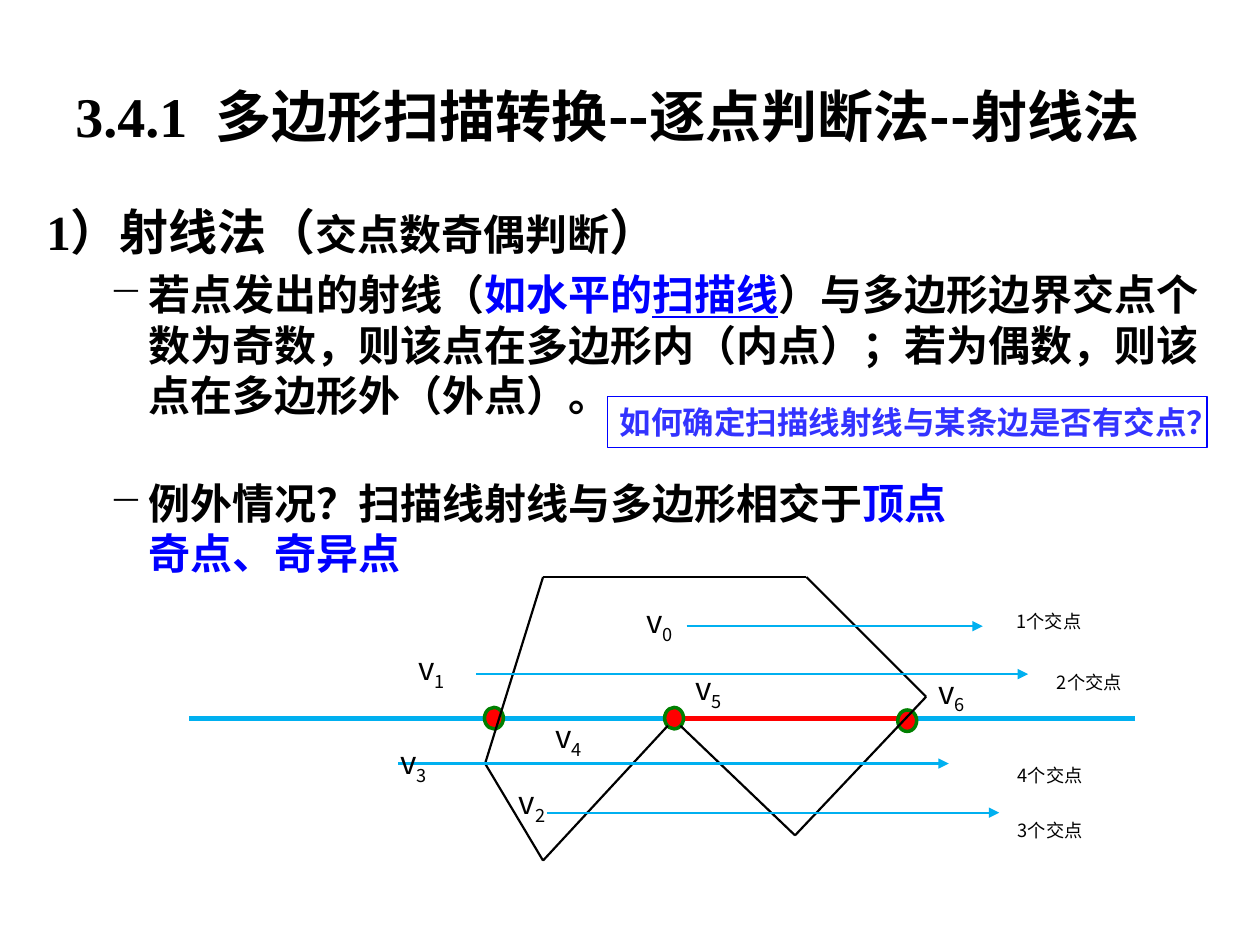
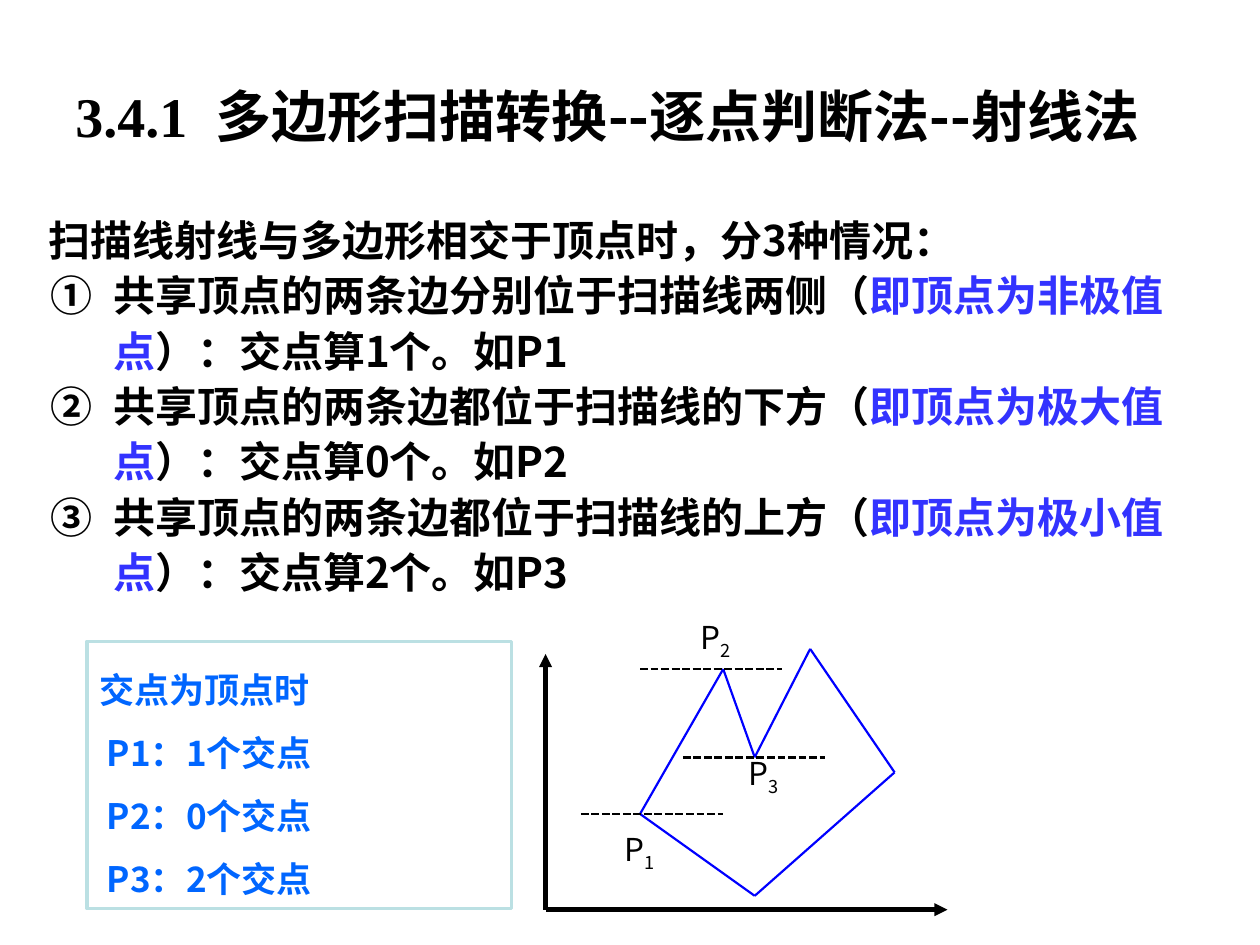
from dataclasses import dataclass
from itertools import pairwise

from lxml.etree import SubElement
from pptx import Presentation
from pptx.dml.color import RGBColor
from pptx.enum.dml import MSO_LINE
from pptx.enum.shapes import MSO_CONNECTOR, MSO_SHAPE
from pptx.enum.text import MSO_ANCHOR
from pptx.oxml.ns import qn
from pptx.util import Inches, Pt


@dataclass(frozen=True)
class Theme:
    black: str = "000000"
    white: str = "FFFFFF"
    blue: str = "0000FF"
    violet: str = "3333FF"
    azure: str = "0066FF"
    sky: str = "00B0F0"
    red: str = "FF0000"
    green: str = "008000"
    pale: str = "BBE0E3"
    sans: str = "Noto Sans CJK SC"
    serif: str = "Times New Roman"
    arial: str = "Arial"
    title: int = 32
    heading: int = 28
    body: int = 24
    box: int = 20
    label: int = 18
    thin: float = 1.25


T = Theme()


def rgb(color):
    return RGBColor.from_string(color)


def add_run(p, text, size, font, color, bold=False, underline=False, base=None):
    r = p.add_run()
    r.text = text
    f = r.font
    f.size, f.name, f.bold, f.underline = Pt(size), font, bold, underline
    f.color.rgb = rgb(color)
    rPr = r._r.get_or_add_rPr()
    SubElement(rPr, qn("a:ea")).set("typeface", T.sans)
    if base:
        rPr.set("baseline", str(base * 1000))


def add_para(p, runs, leading=1.2, before=0, left=0, hanging=0, bullet=None, number=None, **fmt):
    """Fill p with runs, each a string or a (string, format changes) pair."""
    p.line_spacing = Pt(round(fmt["size"] * leading, 1))
    p.space_before = Pt(before)
    pPr = p._p.get_or_add_pPr()
    pPr.set("marL", str(Inches(left)))
    pPr.set("indent", str(Inches(-hanging)))
    if bullet:
        SubElement(pPr, qn("a:buChar")).set("char", bullet)
    if number:
        SubElement(pPr, qn("a:buAutoNum")).set("type", number)
    for run in runs:
        text, changes = (run, {}) if isinstance(run, str) else run
        add_run(p, text, **{**fmt, **changes})


def add_text(s, at, paras, fill=None, line=None, line_width=1, anchor=MSO_ANCHOR.TOP, **fmt):
    """Add a text box, or a rectangle if it has a line; paras are (runs, format changes) pairs."""
    box = [Inches(v) for v in at]
    if line:
        sp = s.shapes.add_shape(MSO_SHAPE.RECTANGLE, *box)
        paint(sp, fill, line, line_width)
    else:
        sp = s.shapes.add_textbox(*box)
    tf = sp.text_frame
    tf.word_wrap = True
    tf.vertical_anchor = anchor
    for i, (runs, changes) in enumerate(paras):
        p = tf.add_paragraph() if i else tf.paragraphs[0]
        add_para(p, runs, **{"font": T.sans, "color": T.black, **fmt, **changes})
        p.alignment = 1


def paint(sp, fill, line, width):
    sp.shadow.inherit = False
    if fill:
        sp.fill.solid()
        sp.fill.fore_color.rgb = rgb(fill)
    else:
        sp.fill.background()
    sp.line.color.rgb = rgb(line)
    sp.line.width = Pt(width)


def add_line(s, start, end, color, width=T.thin, arrow=False, dash=None):
    c = s.shapes.add_connector(MSO_CONNECTOR.STRAIGHT, *(Inches(v) for v in (*start, *end)))
    c.line.color.rgb = rgb(color)
    c.line.width = Pt(width)
    if dash:
        c.line.dash_style = dash
    if arrow:
        SubElement(c.line._get_or_add_ln(), qn("a:tailEnd")).set("type", "triangle")
    SubElement(c._element.spPr, qn("a:effectLst"))


def add_path(s, points, color):
    for start, end in pairwise(points):
        add_line(s, start, end, color)


def add_dot(s, x, y, w=0.15, h=0.17):
    sp = s.shapes.add_shape(MSO_SHAPE.OVAL, Inches(x - w / 2), Inches(y - h / 2), Inches(w), Inches(h))
    paint(sp, T.red, T.green, 2)


def add_vertex_label(s, letter, index, x, y, width):
    add_text(s, (x, y, width, 0.4), [([letter, (str(index), {"base": -25})], {})], size=T.label)


def add_title(s):
    runs = [("3.4.1  ", {"font": T.serif}), "多边形扫描转换--逐点判断法--射线法"]
    add_text(s, (0.5, 0.3, 9, 1.25), [(runs, {})], anchor=MSO_ANCHOR.MIDDLE,
             size=T.title, leading=1.16, bold=True)


def add_slide(prs):
    s = prs.slides.add_slide(prs.slide_layouts[6])
    s.background.fill.solid()
    s.background.fill.fore_color.rgb = rgb(T.white)
    add_title(s)
    return s


def draw_ray_figure(s):
    scan_y = 5.7
    add_line(s, (9.01, scan_y), (1.5, scan_y), T.sky, 3)
    add_line(s, (5.35, scan_y), (7.28, scan_y), T.red, 3)
    for x, y in [(3.92, 5.7), (5.35, 5.7), (7.2, 5.72)]:
        add_dot(s, x, y)
    add_path(s, [(5.3, 5.76), (4.31, 6.83), (3.85, 6.06), (4.31, 4.58), (6.4, 4.58),
                 (7.35, 5.53), (6.31, 6.63), (5.4, 5.76)], T.black)
    for x1, x2, y in [(5.45, 7.8, 4.97), (3.78, 8.16, 5.35), (3.16, 7.53, 6.06), (4.34, 7.93, 6.45)]:
        add_line(s, (x1, y), (x2, y), T.sky, arrow=True)
    vertices = [(5.03, 4.77), (3.22, 5.14), (4.02, 6.21), (3.08, 5.89),
                (4.31, 5.68), (5.42, 5.3), (7.35, 5.33)]
    for i, (x, y) in enumerate(vertices):
        add_vertex_label(s, "v", i, x, y, 0.63)
    for count, x, y in [(1, 7.97, 4.67), (2, 8.29, 5.15), (4, 7.98, 5.89), (3, 7.98, 6.33)]:
        add_text(s, (x, y, 1.04, 0.3), [([f"{count}个交点"], {})], size=T.label, base=-25)


def build_ray_slide(prs):
    s = add_slide(prs)
    blue = {"color": T.blue}
    dash = {"left": 0.81, "hanging": 0.31, "bullet": "─"}
    add_text(s, (0.27, 1.55, 9.45, 5.43), [
        (["1）射线法（", ("交点数奇偶判断", {"size": T.body}), "）"],
         {"size": T.heading, "left": 0.38, "hanging": 0.38}),
        (["若点发出的射线（", ("如水平的", blue), ("扫描线", {**blue, "underline": True}),
          "）与多边形边界交点个数为奇数，则该点在多边形内（内点）；若为偶数，则该点在多边形外（外点）。"],
         {**dash, "before": 4.8}),
        (["例外情况？扫描线射线与多边形相交于", ("顶点", blue)], {**dash, "before": 33}),
        (["奇点、奇异点"], {**blue, "left": 0.81}),
    ], size=T.body, font=T.serif, bold=True)
    draw_ray_figure(s)
    add_text(s, (4.82, 3.15, 4.76, 0.4), [(["如何确定扫描线射线与某条边是否有交点？"], {})],
             line=T.blue, line_width=0.75, size=T.label, font=T.arial, color=T.violet, bold=True)


def draw_vertex_figure(s):
    add_path(s, [(5.08, 6.46), (5.74, 5.31), (5.99, 6.01), (6.43, 5.15),
                 (7.1, 6.13), (5.99, 7.11), (5.08, 6.46)], T.blue)
    for x, y in [(5.08, 5.31), (5.42, 6.01), (4.61, 6.46)]:
        add_line(s, (x, y), (x + 1.13, y), T.black, 1.5, dash=MSO_LINE.SQUARE_DOT)
    for i, (x, y) in enumerate([(4.86, 6.58), (5.46, 4.9), (5.84, 5.98)], 1):
        add_vertex_label(s, "P", i, x, y, 0.55)
    origin = (4.33, 7.22)
    for tip in [(7.52, 7.22), (4.33, 5.19)]:
        add_line(s, origin, tip, T.black, 2.5, arrow=True)


def build_vertex_slide(prs):
    s = add_slide(prs)
    cases = [("分别位于扫描线两侧", "非极值", 1), ("都位于扫描线的下方", "极大值", 0),
             ("都位于扫描线的上方", "极小值", 2)]
    rules = [([f"共享顶点的两条边{place}（", (f"即顶点为{kind}点", {"color": T.violet}),
               f"）：交点算{count}个。如P{i}"],
              {"left": 0.51, "hanging": 0.5, "number": "circleNumDbPlain"})
             for i, (place, kind, count) in enumerate(cases, 1)]
    add_text(s, (0.29, 1.61, 9.53, 3.21),
             [(["扫描线射线与多边形相交于顶点时，分3种情况："], {}), *rules],
             size=T.body, leading=1.32, bold=True)
    counts = [([f"P{i}：{count}个交点"], {"left": 0.06}) for i, (_, _, count) in enumerate(cases, 1)]
    add_text(s, (0.69, 5.09, 3.37, 2.12), [(["交点为顶点时"], {}), *counts], fill=T.white,
             line=T.pale, line_width=2, size=T.box, leading=1.8, color=T.azure, bold=True)
    draw_vertex_figure(s)


def main():
    prs = Presentation()
    prs.slide_width, prs.slide_height = Inches(10), Inches(7.5)
    build_ray_slide(prs)
    build_vertex_slide(prs)
    prs.save("out.pptx")


if __name__ == "__main__":
    main()
